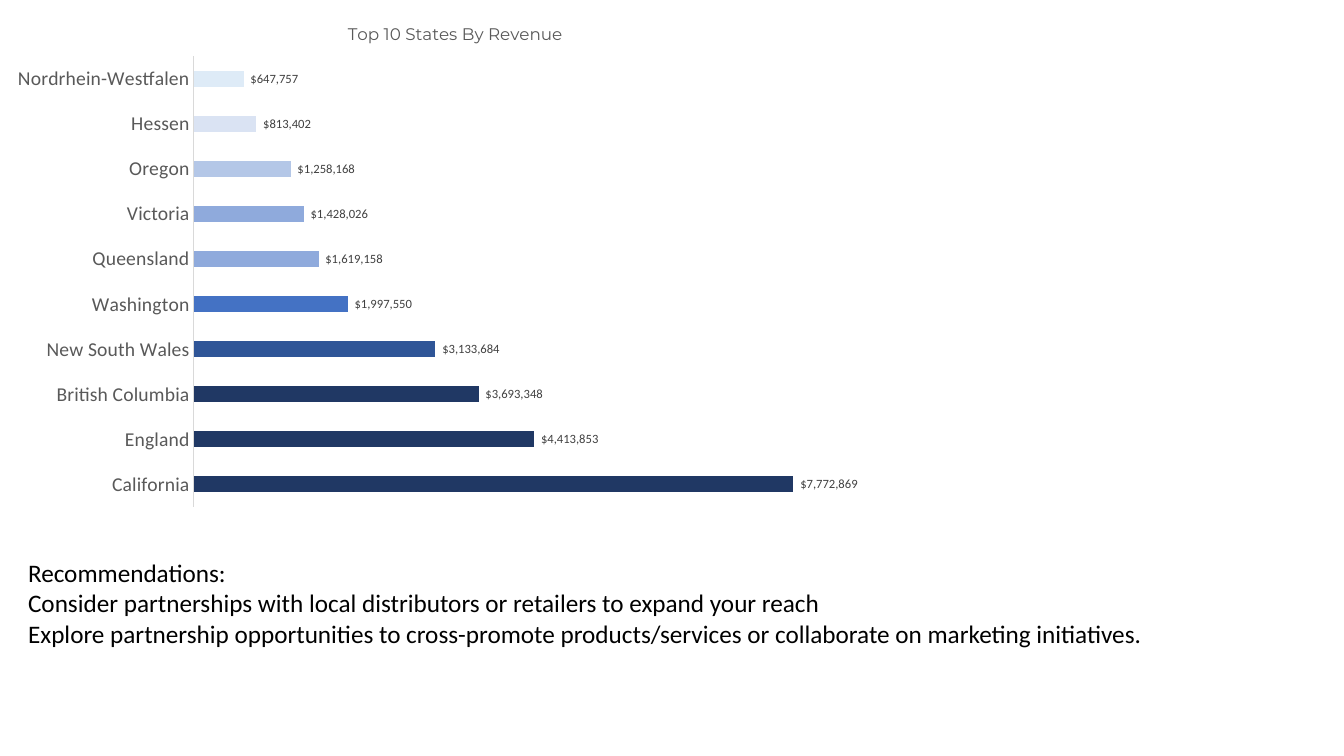
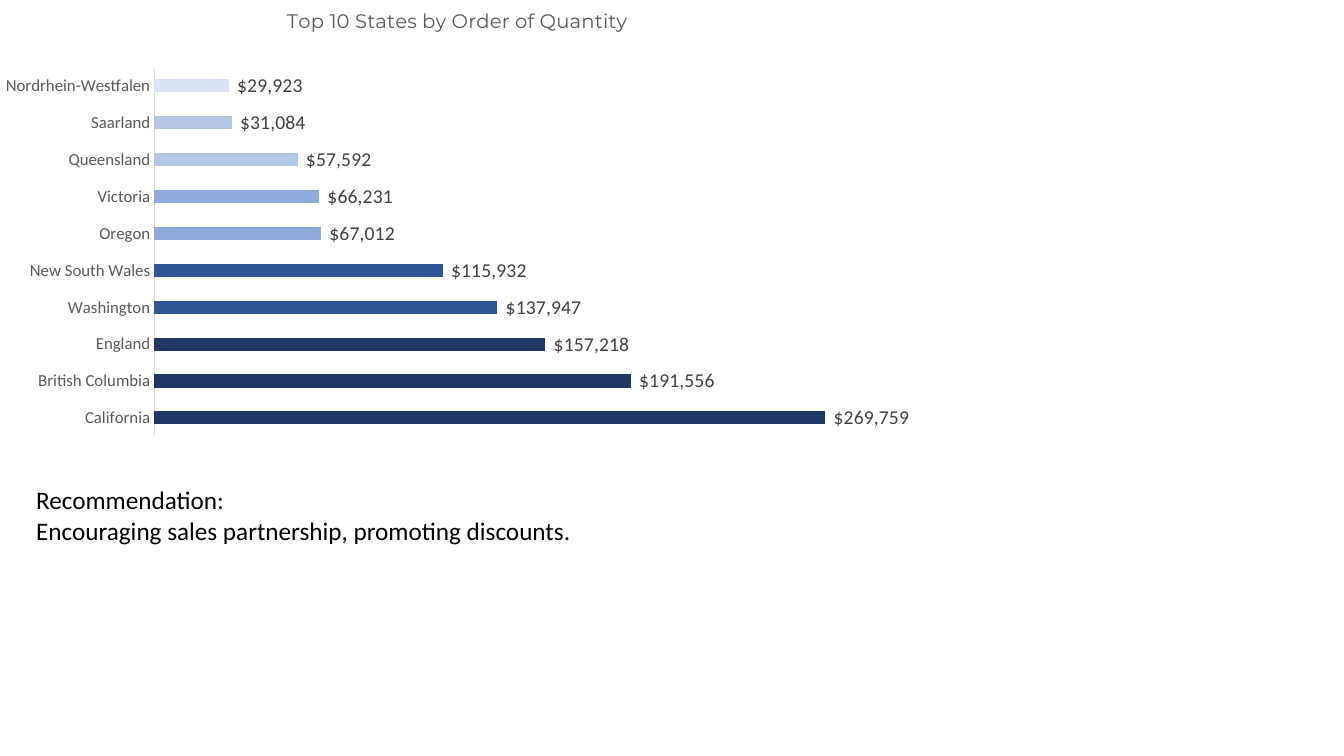
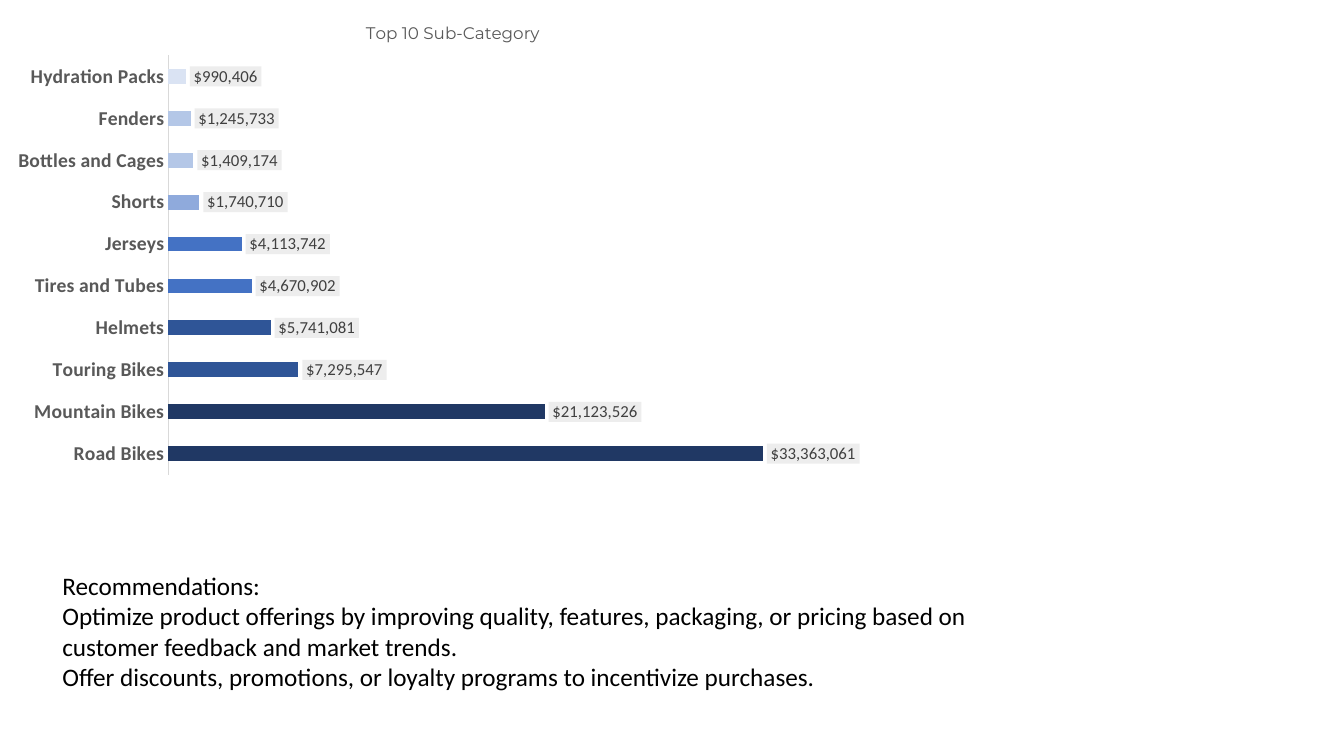
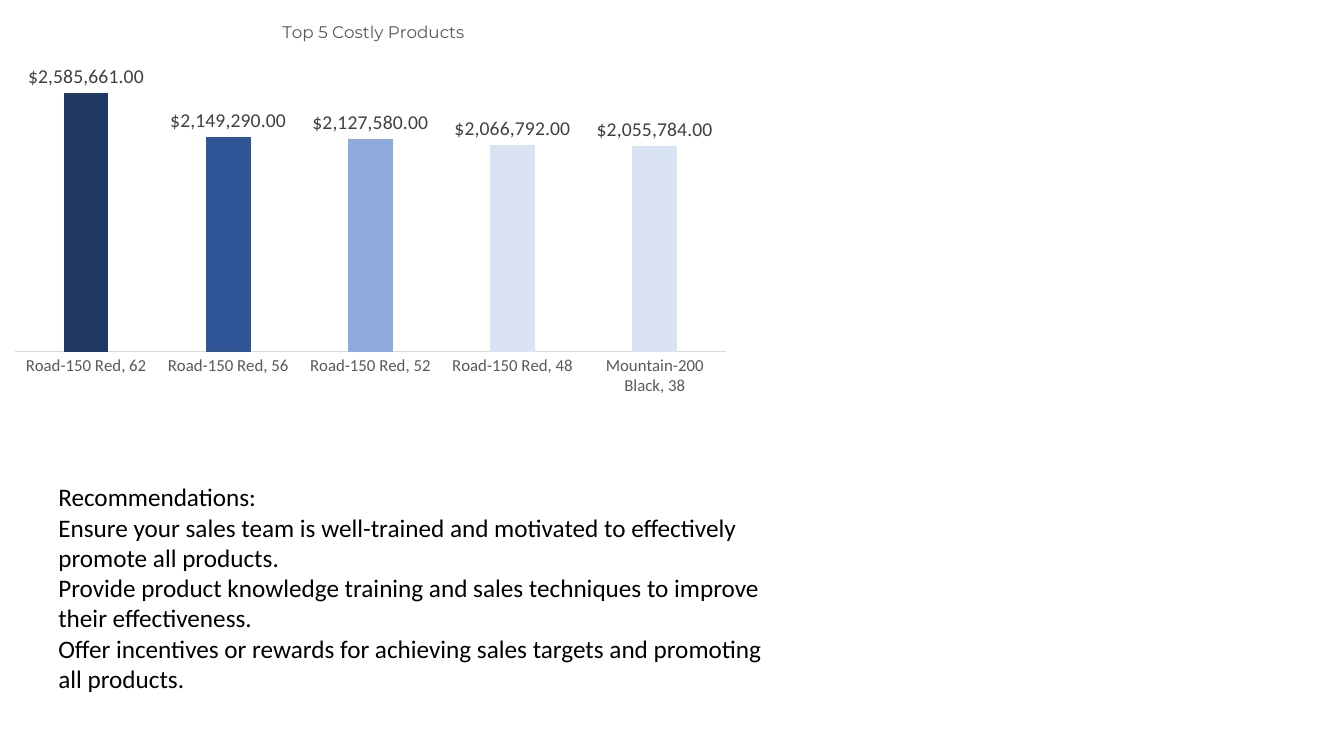
import pptx
import pptx.chart.data
import pptx.dml.color
import pptx.enum.chart
import pptx.enum.text
import pptx.oxml
import pptx.oxml.ns
import pptx.util
from pptx.util import Inches

COLORS = {
    "text": "000000", "title": "595959", "axis": "595959", "label": "404040",
    "axis_line": "D9D9D9", "label_fill": "EDEDED",
    "navy": "203864", "dark": "2F5597", "blue": "4472C4", "medium": "8FAADC",
    "light": "B4C7E7", "pale": "DAE3F3", "ice": "DEEBF7",
}
BODY_FONT = "Calibri"
TITLE_FONT = "Montserrat"
DOLLARS = "_-[$$-409]* #,##0_ "
DOLLARS_AND_CENTS = "_-[$$-409]* #,##0.00_ "
CHART_TYPE = pptx.enum.chart.XL_CHART_TYPE


def rgb(name):
    return pptx.dml.color.RGBColor.from_string(COLORS[name])


def format_font(font, size, color, name=BODY_FONT, bold=False):
    font.name = name
    font.size = pptx.util.Pt(size)
    font.bold = bold
    font.color.rgb = rgb(color)


def add_text(slide, paragraphs, left, top, width, height, size=18, color="text"):
    shape = slide.shapes.add_textbox(
        Inches(left), Inches(top), Inches(width), Inches(height))
    frame = shape.text_frame
    frame.word_wrap = True
    frame.auto_size = pptx.enum.text.MSO_AUTO_SIZE.SHAPE_TO_FIT_TEXT
    frame.text = "\n".join(paragraphs)
    for paragraph in frame.paragraphs:
        format_font(paragraph.runs[0].font, size, color)


def set_layout(parent, index, **fractions):
    """Place a chart part by fractions of the chart's width and height."""
    for layout in parent.findall(pptx.oxml.ns.qn("c:layout")):
        parent.remove(layout)
    target = '<c:layoutTarget val="inner"/>' if "w" in fractions else ""
    modes = "".join(f'<c:{key}Mode val="edge"/>' for key in "xy")
    values = "".join(f'<c:{key} val="{value:.4f}"/>' for key, value in fractions.items())
    parent.insert(index, pptx.oxml.parse_xml(
        f'<c:layout {pptx.oxml.ns.nsdecls("c")}><c:manualLayout>'
        f'{target}{modes}{values}</c:manualLayout></c:layout>'))


def add_title(chart, title, size, x, y):
    chart.has_title = True
    frame = chart.chart_title.text_frame
    frame.text = title
    format_font(frame.paragraphs[0].runs[0].font, size, "title", TITLE_FONT)
    set_layout(chart.chart_title.element, 1, x=x, y=y)


def format_axes(chart, maximum, size, bold):
    category_axis, value_axis = chart.category_axis, chart.value_axis
    category_axis.major_tick_mark = pptx.enum.chart.XL_TICK_MARK.NONE
    category_axis.has_major_gridlines = False
    category_axis.format.line.color.rgb = rgb("axis_line")
    category_axis.format.line.width = pptx.util.Pt(0.75)
    format_font(category_axis.tick_labels.font, size, "axis", bold=bold)
    value_axis.visible = False
    value_axis.has_major_gridlines = False
    value_axis.minimum_scale = 0
    value_axis.maximum_scale = maximum


def add_labels(chart, size, number_format, fill):
    labels = chart.plots[0].series[0].data_labels
    labels.show_value = True
    labels.position = pptx.enum.chart.XL_LABEL_POSITION.OUTSIDE_END
    labels.number_format = number_format
    labels.number_format_is_linked = False
    format_font(labels.font, size, "label")
    if fill:
        label_path = "/".join(map(pptx.oxml.ns.qn, ("c:dLbls", "c:txPr")))
        chart.element.find(".//" + label_path).addprevious(pptx.oxml.parse_xml(
            f'<c:spPr {pptx.oxml.ns.nsdecls("c", "a")}><a:solidFill>'
            f'<a:srgbClr val="{COLORS[fill]}"/></a:solidFill></c:spPr>'))


def add_bar_chart(slide, title, bars, box, plot, title_at, maximum, label_size,
                  axis_size, title_size=12, axis_bold=False, label_fill=None,
                  kind=CHART_TYPE.BAR_CLUSTERED, number_format=DOLLARS,
                  gap=182, overlap=0):
    """Draw bars of (category, value, colour); all places are inches on the slide."""
    data = pptx.chart.data.CategoryChartData(number_format=number_format)
    data.categories = [category for category, _, _ in bars]
    data.add_series("Series 1", [value for _, value, _ in bars])
    chart = slide.shapes.add_chart(kind, *map(Inches, box), data).chart
    format_font(chart.font, 10, "text")
    chart.has_legend = False

    left, top, width, height = box
    add_title(chart, title, title_size,
              (title_at[0] - left) / width, (title_at[1] - top) / height)
    set_layout(chart.element.find(".//" + pptx.oxml.ns.qn("c:plotArea")), 0,
               x=(plot[0] - left) / width, y=(plot[1] - top) / height,
               w=plot[2] / width, h=plot[3] / height)
    format_axes(chart, maximum, axis_size, axis_bold)

    bar_plot = chart.plots[0]
    bar_plot.vary_by_categories = False
    bar_plot.gap_width = gap
    bar_plot.overlap = overlap
    series = bar_plot.series[0]
    for index, (_, _, color) in enumerate(bars):
        fill = series.points[index].format.fill
        fill.solid()
        fill.fore_color.rgb = rgb(color)
    add_labels(chart, label_size, number_format, label_fill)


def add_revenue_slide(slide):
    add_bar_chart(slide, "Top 10 States By Revenue", [
        ("California", 7772869, "navy"),
        ("England", 4413853, "navy"),
        ("British Columbia", 3693348, "navy"),
        ("New South Wales", 3133684, "dark"),
        ("Washington", 1997550, "blue"),
        ("Queensland", 1619158, "medium"),
        ("Victoria", 1428026, "medium"),
        ("Oregon", 1258168, "light"),
        ("Hessen", 813402, "pale"),
        ("Nordrhein-Westfalen", 647757, "ice"),
    ], box=(0, 0, 8.99, 5.13), plot=(1.92, 0.56, 6.89, 4.47), title_at=(3.42, 0.2),
        maximum=9000000, label_size=9, axis_size=14)
    add_text(slide, [
        "Recommendations:",
        "Consider partnerships with local distributors or retailers to expand your reach",
        "Explore partnership opportunities to cross-promote products/services or "
        "collaborate on marketing initiatives.",
    ], 0.18, 5.48, 11.89, 1.31)


def add_quantity_slide(slide):
    add_bar_chart(slide, "Top 10 States by Order of Quantity", [
        ("California", 269759, "navy"),
        ("British Columbia", 191556, "navy"),
        ("England", 157218, "navy"),
        ("Washington", 137947, "dark"),
        ("New South Wales", 115932, "dark"),
        ("Oregon", 67012, "medium"),
        ("Victoria", 66231, "medium"),
        ("Queensland", 57592, "light"),
        ("Saarland", 31084, "light"),
        ("Nordrhein-Westfalen", 29923, "pale"),
    ], box=(-0.12, -0.16, 9.24, 4.59), plot=(1.53, 0.67, 7.4, 3.66), title_at=(2.81, 0.04),
        maximum=300000, label_size=14, axis_size=12, title_size=14)
    add_text(slide, [
        "Recommendation:",
        "Encouraging sales partnership, promoting discounts.",
    ], 0.26, 4.76, 7.76, 0.71)


def add_category_slide(slide):
    add_text(slide, [
        "Recommendations:",
        "Optimize product offerings by improving quality, features, packaging, or "
        "pricing based on customer feedback and market trends.",
        "Offer discounts, promotions, or loyalty programs to incentivize purchases.",
    ], 0.52, 5.61, 9.48, 1.31)
    add_bar_chart(slide, "Top 10 Sub-Category", [
        ("Road Bikes", 33363061, "navy"),
        ("Mountain Bikes", 21123526, "navy"),
        ("Touring Bikes", 7295547, "dark"),
        ("Helmets", 5741081, "dark"),
        ("Tires and Tubes", 4670902, "blue"),
        ("Jerseys", 4113742, "blue"),
        ("Shorts", 1740710, "medium"),
        ("Bottles and Cages", 1409174, "light"),
        ("Fenders", 1245733, "light"),
        ("Hydration Packs", 990406, "pale"),
    ], box=(0, 0, 8.93, 4.79), plot=(1.67, 0.55, 7.07, 4.16), title_at=(3.6, 0.19),
        maximum=40000000, label_size=12, axis_size=14, axis_bold=True,
        label_fill="label_fill")


def add_product_slide(slide):
    add_text(slide, [
        "Recommendations:",
        "Ensure your sales team is well-trained and motivated to effectively "
        "promote all products.",
        "Provide product knowledge training and sales techniques to improve "
        "their effectiveness.",
        "Offer incentives or rewards for achieving sales targets and promoting "
        "all products.",
    ], 0.48, 4.73, 7.31, 2.22)
    add_bar_chart(slide, "Top 5 Costly Products", [
        ("Road-150 Red, 62", 2585661, "navy"),
        ("Road-150 Red, 56", 2149290, "dark"),
        ("Road-150 Red, 52", 2127580, "medium"),
        ("Road-150 Red, 48", 2066792, "pale"),
        ("Mountain-200 Black, 38", 2055784, "pale"),
    ], box=(0, 0, 7.35, 4.01), plot=(0.15, 0.51, 7.05, 2.98), title_at=(2.77, 0.18),
        maximum=3000000, label_size=14, axis_size=12, kind=CHART_TYPE.COLUMN_CLUSTERED,
        number_format=DOLLARS_AND_CENTS, gap=219, overlap=-27)


def main():
    presentation = pptx.Presentation()
    presentation.slide_width = Inches(13.33)
    presentation.slide_height = Inches(7.5)
    blank_layout = presentation.slide_layouts[6]
    for fill_slide in (add_revenue_slide, add_quantity_slide,
                       add_category_slide, add_product_slide):
        fill_slide(presentation.slides.add_slide(blank_layout))
    presentation.save("out.pptx")


if __name__ == "__main__":
    main()
